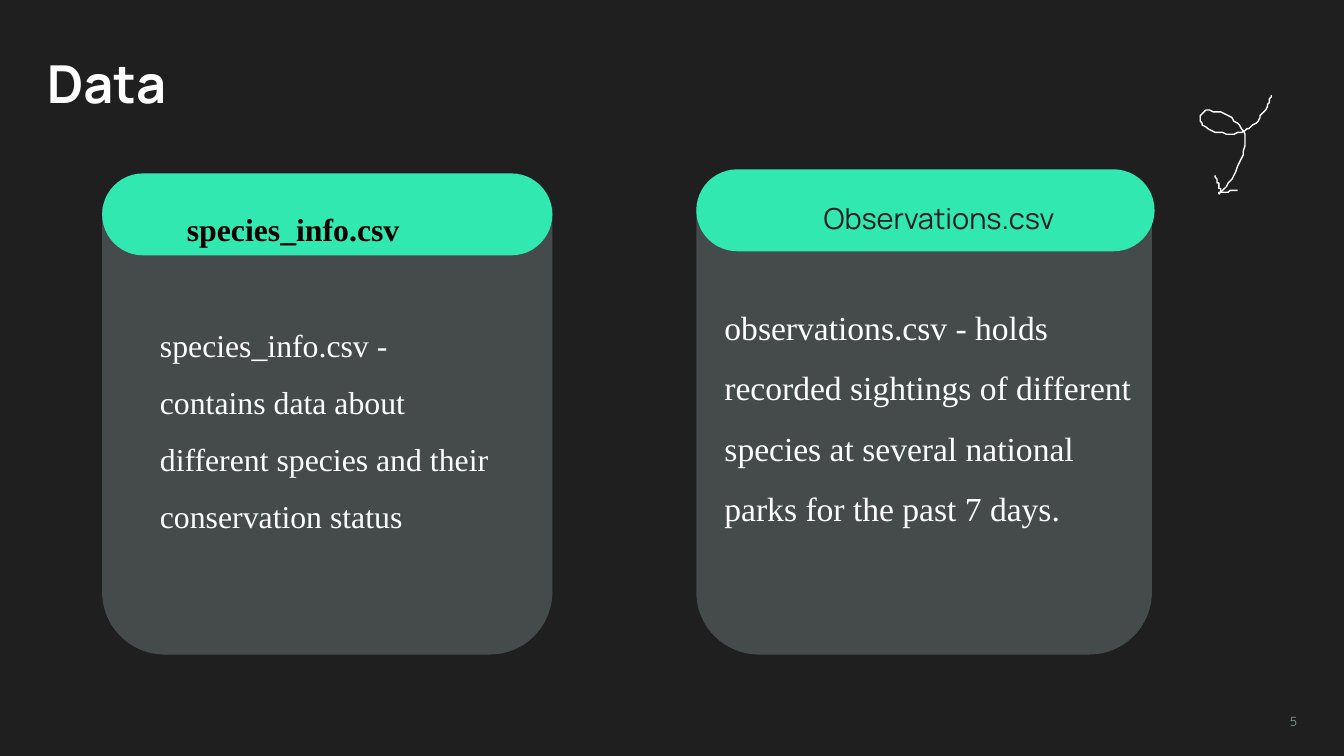
"""Build the Data slide: two file cards, a title and a looping arrow."""
from pptx import Presentation
from pptx.dml.color import RGBColor
from pptx.enum.shapes import MSO_SHAPE as SHAPE
from pptx.enum.text import MSO_ANCHOR as ANCHOR, PP_ALIGN as ALIGN
from pptx.util import Pt

DARK = RGBColor(0x1F, 0x1F, 0x1F)
PANEL = RGBColor(0x45, 0x4B, 0x4B)
MINT = RGBColor(0x30, 0xE8, 0xB0)
GREY = RGBColor(0x93, 0xA2, 0xA2)
WHITE = RGBColor(0xFF, 0xFF, 0xFF)
BLACK = RGBColor(0, 0, 0)
SERIF, SANS = "Times New Roman", "Manrope"


def add_text(text, box, font, size, color, bold=False, inset=(7.2, 7.2),
             anchor=ANCHOR.TOP, **para):
    tf = s.shapes.add_textbox(*[Pt(v) for v in box]).text_frame
    dx, dy = [Pt(v) for v in inset]
    frame = {"word_wrap": True, "vertical_anchor": anchor, "margin_left": dx,
             "margin_right": dx, "margin_top": dy, "margin_bottom": dy}
    for key, value in frame.items():
        setattr(tf, key, value)
    p = tf.paragraphs[0]
    for key, value in para.items():
        setattr(p, key, value)
    r = p.add_run()
    r.text = text
    style = {"name": font, "size": Pt(size), "bold": bold}
    for key, value in style.items():
        setattr(r.font, key, value)
    r.font.color.rgb = color


def bezier(a, b, c, d, steps=16):
    for i in range(1, steps + 1):
        t = i / steps
        u = 1 - t
        yield tuple(u**3 * e + 3 * u * u * t * f + 3 * u * t * t * g + t**3 * h
                    for e, f, g, h in zip(a, b, c, d))


prs = Presentation()
prs.slide_width, prs.slide_height = Pt(720), Pt(405)
s = prs.slides.add_slide(prs.slide_layouts[6])
s.background.fill.solid()
s.background.fill.fore_color.rgb = DARK

add_text("5", (529.2, 378, 172.8, 23), "Quicksand", 7, GREY, alignment=ALIGN.RIGHT)
add_text("Data", (18, 20.2, 449.3, 48.2), SANS, 28, WHITE, True)

cards = [
    {"panel": (54.7, 110.9, 241.2, 239.8), "header": (54.7, 92.9, 241.2, 43.9)},
    {"panel": (373, 110.9, 244.1, 239.8), "header": (373, 90.7, 245.5, 43.9)},
]
for card in cards:
    for part, kind, color, adj in (
        ("panel", SHAPE.ROUND_2_SAME_RECTANGLE, PANEL, (0, 0.14)),
        ("header", SHAPE.ROUNDED_RECTANGLE, MINT, (0.5,)),
    ):
        sp = s.shapes.add_shape(kind, *[Pt(v) for v in card[part]])
        for i, value in enumerate(adj):
            sp.adjustments[i] = value
        sp.shadow.inherit = False
        sp.fill.solid()
        sp.fill.fore_color.rgb = color
        sp.line.fill.background()

wide = (21.6, 7.2)
add_text("species_info.csv", (78.5, 102.2, 223.2, 56.9), SERIF, 17, BLACK, True,
         wide, line_spacing=1.15)
add_text("species_info.csv - contains data about different species and their "
         "conservation status", (64.1, 157, 223.2, 128.2), SERIF, 17, WHITE,
         inset=wide, line_spacing=1.5)
add_text("Observations.csv", (429.1, 90.7, 383.8, 54), SANS, 15.5, DARK,
         inset=(12.2, 12.2), anchor=ANCHOR.MIDDLE, line_spacing=0.9)
add_text("observations.csv - holds recorded sightings of different species at "
         "several national parks for the past 7 days.", (366.5, 146.2, 272.9, 175.7),
         SERIF, 18, WHITE, inset=wide, line_spacing=1.5, space_after=Pt(12))

strokes = [
    [(681.4, 50.7), (679, 58), (674.6, 65), (668, 69.4), (661, 74), (642.5, 71.5),
     (642.8, 63), (643.5, 54.5), (663, 62.5), (666.3, 70), (669.5, 80.5),
     (662, 94.5), (653.6, 103.3)],
    [(650.8, 93.8), (651.8, 97), (654.5, 101), (653.2, 103.6)],
    [(653.2, 103.6), (656, 103), (659.5, 102.2), (663, 102.2)],
]
for points in strokes:
    fb = s.shapes.build_freeform(*points[0], scale=Pt(1))
    for i in range(0, len(points) - 1, 3):
        fb.add_line_segments(bezier(*points[i:i + 4]), close=False)
    sp = fb.convert_to_shape()
    sp.shadow.inherit = False
    sp.fill.background()
    sp.line.color.rgb = WHITE
    sp.line.width = Pt(0.75)

prs.save("out.pptx")
